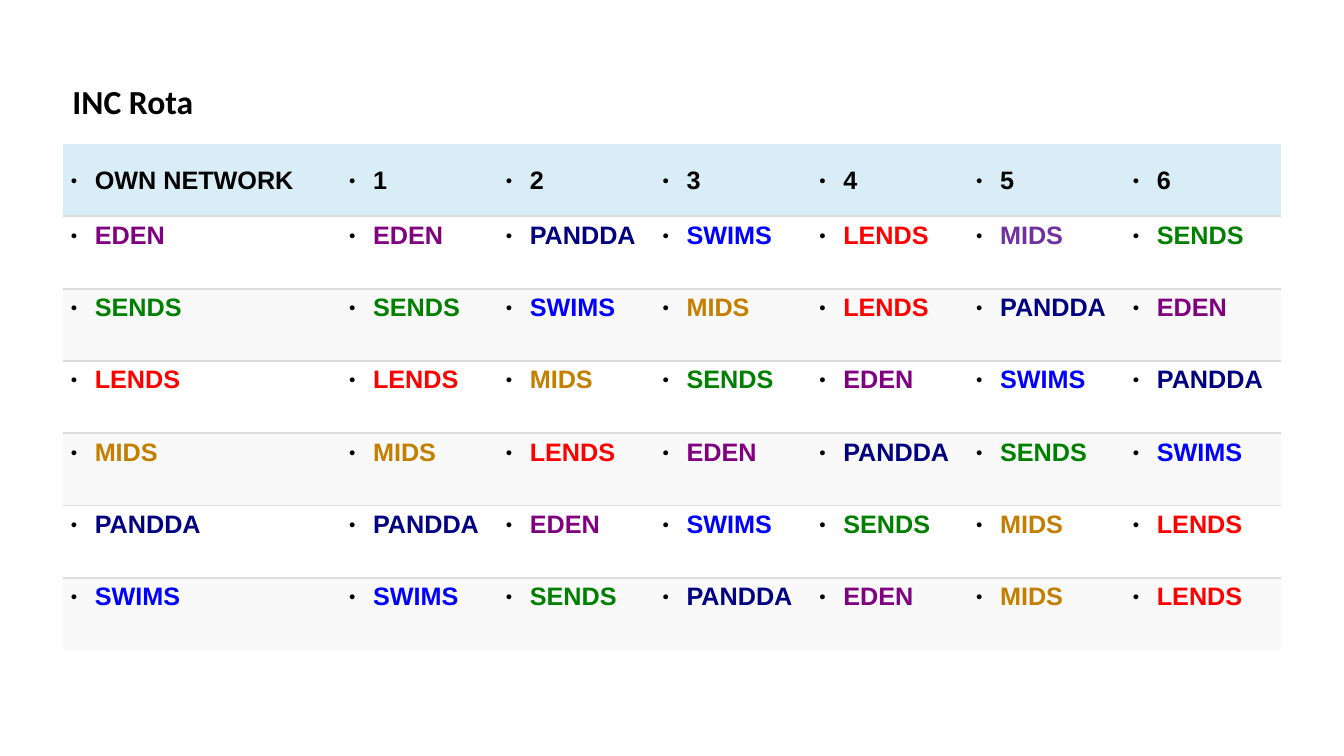
from collections import namedtuple
from dataclasses import dataclass, field

from lxml.etree import SubElement
from pptx import Presentation
from pptx.dml.color import RGBColor
from pptx.enum.text import MSO_ANCHOR
from pptx.oxml.ns import qn
from pptx.util import Inches, Pt

Box = namedtuple("Box", "left top width height")


@dataclass(frozen=True)
class Theme:
    """Colours, fonts and type sizes of the slide."""
    ink: str = "000000"
    header_fill: str = "D9EDF7"
    row_fills: tuple = ("FFFFFF", "F9F9F9")
    rule: str = "DDDDDD"
    rule_width: float = 1.47
    mids_alternate: str = "7030A0"
    title_font: dict = field(default_factory=lambda: {
        "name": "Calibri", "size": Pt(24), "bold": True})
    cell_font: dict = field(default_factory=lambda: {
        "name": "Arial", "size": Pt(18), "bold": True})
    networks: dict = field(default_factory=lambda: {
        "EDEN": "800080", "SENDS": "008000", "LENDS": "FF0000",
        "MIDS": "C47E00", "PANDDA": "000080", "SWIMS": "0000FF"})


THEME = Theme()
TITLE_BOX = Box(0.62, 0.75, 4.08, 0.51)
ROTA_BOX = Box(0.62, 1.43, 12.09, 5.02)
OWN_NETWORK_WIDTH = 2.76
BULLET_INDENT = Inches(0.24)
CELL_FORMAT = {
    "margin_left": Inches(0.08), "margin_right": Inches(0.08),
    "margin_top": Inches(0.05), "margin_bottom": Inches(0.05)}

HEADINGS = ["OWN NETWORK", "1", "2", "3", "4", "5", "6"]
ROTA = {
    "EDEN": ["EDEN", "PANDDA", "SWIMS", "LENDS", "MIDS", "SENDS"],
    "SENDS": ["SENDS", "SWIMS", "MIDS", "LENDS", "PANDDA", "EDEN"],
    "LENDS": ["LENDS", "MIDS", "SENDS", "EDEN", "SWIMS", "PANDDA"],
    "MIDS": ["MIDS", "LENDS", "EDEN", "PANDDA", "SENDS", "SWIMS"],
    "PANDDA": ["PANDDA", "EDEN", "SWIMS", "SENDS", "MIDS", "LENDS"],
    "SWIMS": ["SWIMS", "SENDS", "PANDDA", "EDEN", "MIDS", "LENDS"],
}


def apply_format(target, values):
    """Set each named value on the target."""
    for name, value in values.items():
        setattr(target, name, value)


def write_run(paragraph, wording, font_format, color):
    """Add one formatted run to the paragraph."""
    run = paragraph.add_run()
    run.text = wording
    apply_format(run.font, font_format)
    run.font.color.rgb = RGBColor.from_string(color)


def add_bullet(paragraph):
    """Give the paragraph a small round bullet with a hanging indent."""
    properties = paragraph._p.get_or_add_pPr()
    properties.set("marL", str(BULLET_INDENT))
    properties.set("indent", str(-BULLET_INDENT))
    bullet_color = SubElement(properties, qn("a:buClr"))
    SubElement(bullet_color, qn("a:srgbClr"), val=THEME.ink)
    SubElement(properties, qn("a:buSzPct"), val="45000")
    SubElement(properties, qn("a:buFont"), typeface="Arial")
    SubElement(properties, qn("a:buChar"), char="●")


def add_borders(cell, ruled_sides):
    """Rule the given sides of the cell and clear the others."""
    properties = cell._tc.get_or_add_tcPr()
    for side in "LRTB":
        border = SubElement(properties, qn(f"a:ln{side}"))
        if side in ruled_sides:
            border.set("w", str(Pt(THEME.rule_width)))
            border_fill = SubElement(border, qn("a:solidFill"))
            SubElement(border_fill, qn("a:srgbClr"), val=THEME.rule)
        else:
            SubElement(border, qn("a:noFill"))


def fill_cell(cell, wording, color, background, anchor, ruled_sides):
    """Write and format one rota cell."""
    apply_format(cell, {**CELL_FORMAT, "vertical_anchor": anchor})
    add_borders(cell, ruled_sides)
    cell.fill.solid()
    cell.fill.fore_color.rgb = RGBColor.from_string(background)
    paragraph = cell.text_frame.paragraphs[0]
    add_bullet(paragraph)
    write_run(paragraph, wording, THEME.cell_font, color)


def add_title(slide, box):
    """Place the slide title at the bottom of its box."""
    frame = slide.shapes.add_textbox(*map(Inches, box)).text_frame
    apply_format(frame, {"word_wrap": True, "vertical_anchor": MSO_ANCHOR.BOTTOM})
    heading = frame.paragraphs[0]
    heading.line_spacing = 0.9
    write_run(heading, "INC Rota", THEME.title_font, THEME.ink)


def add_rota(slide, box):
    """Place the rota table, with equal rows and equal numbered columns."""
    entries = [HEADINGS] + [[own, *turns] for own, turns in ROTA.items()]
    last_row = len(entries) - 1
    rota = slide.shapes.add_table(
        len(entries), len(HEADINGS), *map(Inches, box)).table
    turn_width = (box.width - OWN_NETWORK_WIDTH) / (len(HEADINGS) - 1)
    for index, column in enumerate(rota.columns):
        column.width = Inches(turn_width if index else OWN_NETWORK_WIDTH)
    for row in rota.rows:
        row.height = Inches(box.height / len(entries))

    for row_index, names in enumerate(entries):
        ruled_sides = ("T" if row_index else "") + ("B" if row_index < last_row else "")
        background = THEME.row_fills[(row_index - 1) % 2] if row_index else THEME.header_fill
        anchor = MSO_ANCHOR.TOP if row_index else MSO_ANCHOR.MIDDLE
        for column_index, name in enumerate(names):
            color = THEME.networks.get(name, THEME.ink)
            if (names[0], name) == ("EDEN", "MIDS"):
                color = THEME.mids_alternate
            fill_cell(rota.cell(row_index, column_index), name, color,
                      background, anchor, ruled_sides)


def main():
    """Build and save the rota slide."""
    presentation = Presentation()
    apply_format(presentation, {
        "slide_width": Inches(13.33), "slide_height": Inches(7.5)})
    slide = presentation.slides.add_slide(presentation.slide_layouts[6])
    add_title(slide, TITLE_BOX)
    add_rota(slide, ROTA_BOX)
    presentation.save("out.pptx")


if __name__ == "__main__":
    main()
